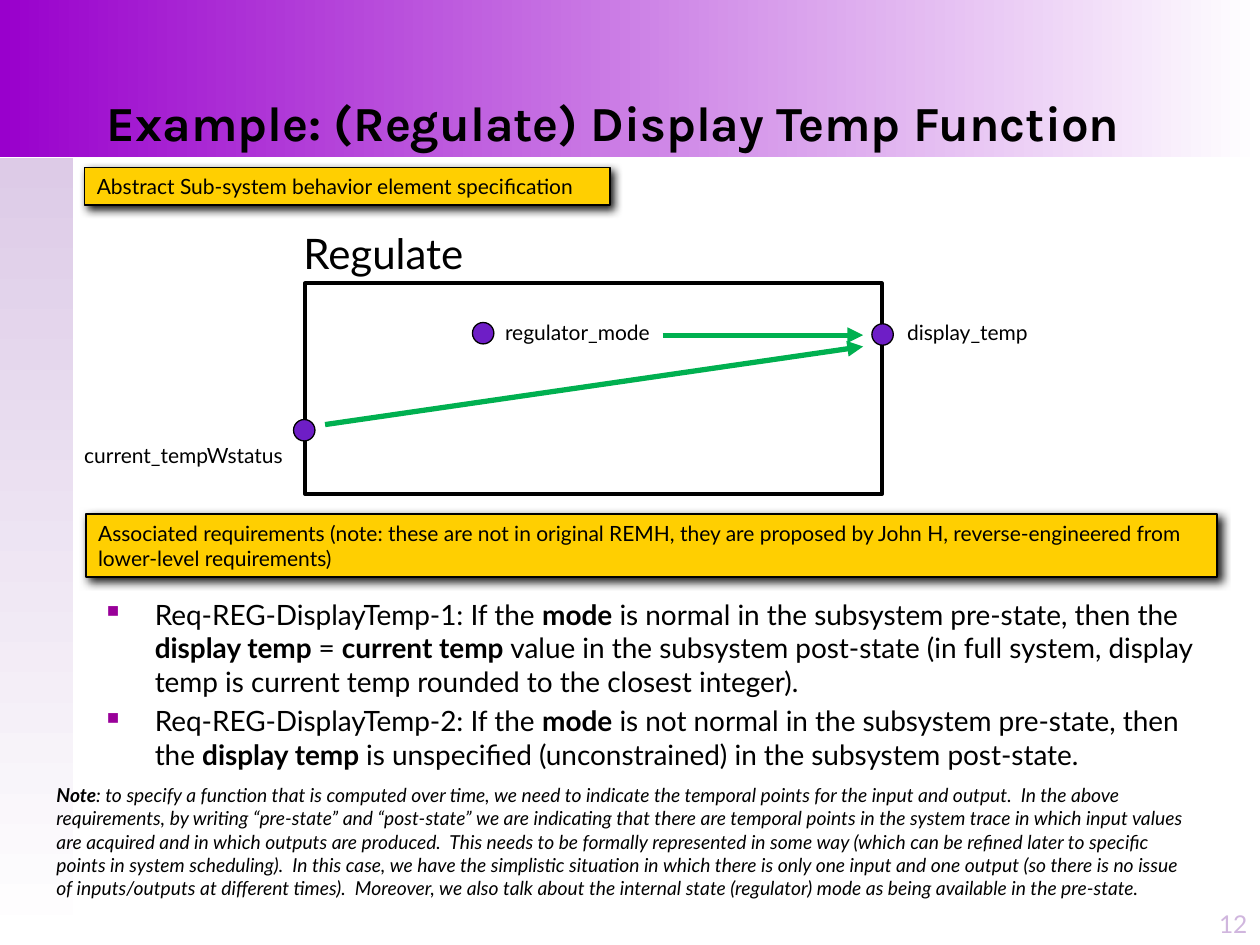
from dataclasses import dataclass

from lxml import etree
from pptx import Presentation
from pptx.dml.color import RGBColor
from pptx.enum.shapes import MSO_CONNECTOR, MSO_SHAPE
from pptx.enum.text import MSO_ANCHOR, MSO_AUTO_SIZE, PP_ALIGN
from pptx.oxml.ns import qn
from pptx.util import Inches, Pt

RECTANGLE, OVAL = MSO_SHAPE.RECTANGLE, MSO_SHAPE.OVAL
STRAIGHT = MSO_CONNECTOR.STRAIGHT
TOP, MIDDLE, BOTTOM = MSO_ANCHOR.TOP, MSO_ANCHOR.MIDDLE, MSO_ANCHOR.BOTTOM
LEFT, RIGHT = PP_ALIGN.LEFT, PP_ALIGN.RIGHT
FIT_SHAPE, NO_FIT = MSO_AUTO_SIZE.SHAPE_TO_FIT_TEXT, MSO_AUTO_SIZE.NONE


@dataclass(frozen=True)
class Theme:
    heading_font: str = "Karla"
    body_font: str = "Lato"
    ink: str = "000000"
    white: str = "FFFFFF"
    banner: str = "9900CC"
    sidebar: str = "DDCBE7"
    page_number: str = "D0B6DE"
    callout: str = "FFCF01"
    shadow: str = "1C1C1C"
    port: str = "6E1EC6"
    flow: str = "00B050"
    bullet: str = "990099"
    title_size: int = 28
    component_size: int = 24
    requirement_size: int = 16
    page_size: int = 14
    label_size: int = 12
    note_size: int = 11


THEME = Theme()


@dataclass(frozen=True)
class Box:
    left: float
    top: float
    width: float
    height: float

    def emu(self) -> tuple:
        return tuple(Inches(v) for v in (self.left, self.top, self.width, self.height))


@dataclass(frozen=True)
class Style:
    size: int
    font: str = THEME.body_font
    color: str = THEME.ink
    italic: bool = False


@dataclass(frozen=True)
class Flow:
    start: tuple[float, float]
    end: tuple[float, float]


# Text runs are (text, bold) pairs
Runs = list[tuple[str, bool]]

LABEL = Style(THEME.label_size)
PORT_SIZE = 0.17
PORTS = [(6.92, 2.57), (2.33, 3.33), (3.75, 2.56)]
FLOWS = [Flow((2.58, 3.37), (6.85, 2.75)), Flow((5.26, 2.66), (6.85, 2.66))]
DIAGRAM_LABELS = [
    ("Regulate", Box(2.31, 1.76, 1.5, 0.5), Style(THEME.component_size)),
    ("regulator_mode", Box(3.91, 2.49, 1.38, 0.3), LABEL),
    ("current_tempWstatus", Box(0.57, 3.46, 1.81, 0.3), LABEL),
    ("display_temp", Box(7.1, 2.49, 1.18, 0.3), LABEL),
]
CALLOUTS = [
    ("Abstract Sub-system behavior element specification", Box(0.67, 1.33, 4.17, 0.3)),
    ("Associated requirements (note: these are not in original REMH, they are proposed by "
     "John H, reverse-engineered from lower-level requirements)", Box(0.68, 4.08, 8.98, 0.5)),
]
REQUIREMENTS: list[Runs] = [
    [("Req-REG-DisplayTemp-1: If the ", False), ("mode", True),
     (" is normal in the subsystem pre-state, then the ", False), ("display temp ", True),
     ("= ", False), ("current temp ", True),
     ("value in the subsystem post-state (in full system, display temp is current temp "
      "rounded to the closest integer).", False)],
    [("Req-REG-DisplayTemp-2: If the ", False), ("mode", True),
     (" is not normal in the subsystem pre-state, then the ", False), ("display temp ", True),
     ("is unspecified (unconstrained) in the subsystem post-state.", False)],
]
NOTE: Runs = [
    ("Note", True),
    (": to specify a function that is computed over time, we need to indicate the temporal "
     "points for the input and output.  In the above requirements, by writing “pre-state” and "
     "“post-state” we are indicating that there are temporal points in the system trace in "
     "which input values are acquired and in which outputs are produced.  This needs to be "
     "formally represented in some way (which can be refined later to specific points in "
     "system scheduling).  In this case, we have the simplistic situation in which there is "
     "only one input and one output (so there is no issue of inputs/outputs at different "
     "times).  Moreover, we also talk about the internal state (regulator) mode as being "
     "available in the pre-state.", False),
]


def rgb(color: str) -> RGBColor:
    return RGBColor.from_string(color)


def add_runs(paragraph, runs: Runs, style: Style) -> None:
    for text, bold in runs:
        run = paragraph.add_run()
        run.text = text
        run.font.name, run.font.size = style.font, Pt(style.size)
        run.font.bold, run.font.italic = bold, style.italic
        run.font.color.rgb = rgb(style.color)


def fill_text(frame, paragraphs: list[Runs], style: Style, anchor=TOP, align=LEFT,
              wrap: bool = True, fit=NO_FIT) -> None:
    frame.word_wrap, frame.auto_size, frame.vertical_anchor = wrap, fit, anchor
    for index, runs in enumerate(paragraphs):
        paragraph = frame.add_paragraph() if index else frame.paragraphs[0]
        paragraph.alignment = align
        add_runs(paragraph, runs, style)


def add_text(slide, box: Box, paragraphs: list[Runs], style: Style, **layout):
    frame = slide.shapes.add_textbox(*box.emu()).text_frame
    fill_text(frame, paragraphs, style, **layout)
    return frame


def add_shape(slide, kind, box: Box, fill: str | None = None, line_width: float = 0):
    shape = slide.shapes.add_shape(kind, *box.emu())
    shape.shadow.inherit = False
    if fill:
        shape.fill.solid()
        shape.fill.fore_color.rgb = rgb(fill)
    else:
        shape.fill.background()
    if line_width:
        shape.line.color.rgb = rgb(THEME.ink)
        shape.line.width = Pt(line_width)
    else:
        shape.line.fill.background()
    return shape


def add_fade(slide, box: Box, color: str, angle: int) -> None:
    fill = add_shape(slide, RECTANGLE, box).fill
    fill.gradient()
    fill.gradient_angle = angle
    for stop, stop_color, position in zip(fill.gradient_stops, (color, THEME.white), (0, 1)):
        stop.color.rgb = rgb(stop_color)
        stop.position = position


def add_callout(slide, text: str, box: Box) -> None:
    shape = add_shape(slide, RECTANGLE, box, THEME.callout, 1)
    effects = shape._element.spPr.find(qn("a:effectLst"))
    shadow = etree.SubElement(effects, qn("a:outerShdw"), blurRad=str(Pt(5)),
                              dist=str(Pt(2.8)), dir=str(45 * 60000))
    etree.SubElement(shadow, qn("a:srgbClr"), val=THEME.shadow)
    fill_text(shape.text_frame, [[(text, False)]], LABEL, anchor=MIDDLE, fit=FIT_SHAPE)


def add_flow(slide, flow: Flow) -> None:
    arrow = slide.shapes.add_connector(STRAIGHT, *(Inches(v) for v in flow.start + flow.end))
    arrow.line.color.rgb = rgb(THEME.flow)
    arrow.line.width = Pt(3)
    etree.SubElement(arrow.line._get_or_add_ln(), qn("a:tailEnd"), type="triangle")
    etree.SubElement(arrow._element.spPr, qn("a:effectLst"))


def add_bullet(paragraph) -> None:
    paragraph.space_before = Pt(0.2 * THEME.requirement_size)
    properties = paragraph._p.get_or_add_pPr()
    properties.set("marL", str(Inches(0.38)))
    properties.set("indent", str(Inches(-0.38)))
    color = etree.SubElement(properties, qn("a:buClr"))
    etree.SubElement(color, qn("a:srgbClr"), val=THEME.bullet)
    etree.SubElement(properties, qn("a:buSzPct"), val="60000")
    etree.SubElement(properties, qn("a:buChar"), char="■")


def main() -> None:
    deck = Presentation()
    deck.slide_width, deck.slide_height = Inches(10), Inches(7.5)
    slide = deck.slides.add_slide(deck.slide_layouts[6])

    # Background bands, title and page number
    add_fade(slide, Box(0, 1.25, 0.58, 6.25), THEME.sidebar, 270)
    add_fade(slide, Box(0, 0, 10, 1.25), THEME.banner, 0)
    add_text(slide, Box(0.75, 0, 8.92, 1.25),
             [[("Example: (Regulate) Display Temp Function", True)]],
             Style(THEME.title_size, THEME.heading_font), anchor=BOTTOM)
    add_text(slide, Box(9.5, 7, 0.5, 0.5), [[("12", False)]],
             Style(THEME.page_size, color=THEME.page_number), anchor=BOTTOM, align=RIGHT)

    # Component diagram
    add_shape(slide, RECTANGLE, Box(2.42, 2.25, 4.58, 1.67), line_width=2.25)
    for left, top in PORTS:
        add_shape(slide, OVAL, Box(left, top, PORT_SIZE, PORT_SIZE), THEME.port, 0.75)
    for text, box, style in DIAGRAM_LABELS:
        add_text(slide, box, [[(text, False)]], style, wrap=False, fit=FIT_SHAPE)
    for flow in FLOWS:
        add_flow(slide, flow)

    # Section callouts
    for text, box in CALLOUTS:
        add_callout(slide, text, box)

    # Requirements and closing note
    requirements = add_text(slide, Box(0.75, 4.69, 8.92, 2.31), REQUIREMENTS,
                            Style(THEME.requirement_size))
    for paragraph in requirements.paragraphs:
        add_bullet(paragraph)
    add_text(slide, Box(0.35, 6.17, 9.17, 1.21), [NOTE],
             Style(THEME.note_size, italic=True), fit=FIT_SHAPE)

    deck.save("out.pptx")


if __name__ == "__main__":
    main()
